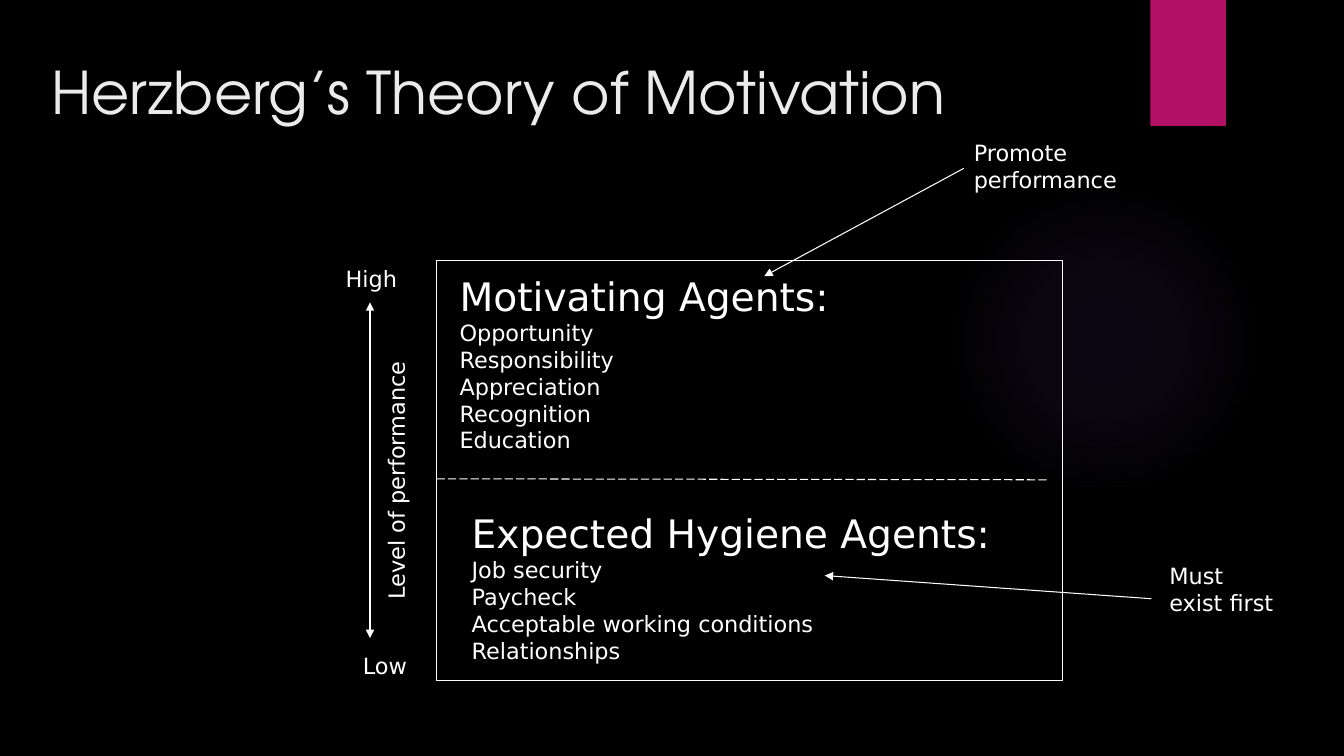
"""Build a slide on Herzberg's two groups of motivating factors."""
from pptx import Presentation, util as u
from pptx.dml.color import RGBColor
from pptx.enum import dml, shapes, text
from pptx.oxml import parse_xml
from pptx.oxml.ns import nsdecls, qn

BLACK = RGBColor(0x00, 0x00, 0x00)
WHITE = RGBColor(0xFF, 0xFF, 0xFF)
PALE = RGBColor(0xEB, 0xEB, 0xEB)
PINK = RGBColor(0xB3, 0x11, 0x66)
GLOW = RGBColor(0x9B, 0x6B, 0xF2)
BODY = {"name": "DejaVu Sans"}
HEAD, ITEM = u.Pt(28), u.Pt(16)

deck = Presentation()
deck.slide_width, deck.slide_height = u.Inches(13.33), u.Inches(7.5)
slide = deck.slides.add_slide(deck.slide_layouts[5])
slide.background.fill.solid()
slide.background.fill.fore_color.rgb = BLACK


def place(kind, *box):
    """Add a bare shape without fill, line or shadow."""
    shape = slide.shapes.add_shape(kind, *map(u.Inches, box))
    shape.shadow.inherit = False
    shape.fill.background()
    shape.line.fill.background()
    return shape


def write(frame, lines, sizes, color, font):
    """Put one paragraph per line into a text frame."""
    for i, line in enumerate(lines):
        para = frame.paragraphs[0] if i == 0 else frame.add_paragraph()
        para.text = line
        para.alignment = text.PP_ALIGN.LEFT
        for part in para.runs:
            for key, value in {"size": sizes[min(i, len(sizes) - 1)], **font}.items():
                setattr(part.font, key, value)
            part.font.color.rgb = color


title = slide.shapes.title
for key, value in zip(("left", "top", "width", "height"), (0.41, 0.5, 10.29, 1.53)):
    setattr(title, key, u.Inches(value))
title.text_frame.vertical_anchor = text.MSO_ANCHOR.TOP
title.text_frame.auto_size = text.MSO_AUTO_SIZE.NONE
write(title.text_frame, ["Herzberg’s Theory of Motivation"], [u.Pt(42)], PALE,
      {"name": "TeX Gyre Adventor"})

orb = place(shapes.MSO_SHAPE.OVAL, 9.41, 1.83, 3.08, 3.08)
stops = "".join(
    f'<a:gs pos="{pos}000"><a:srgbClr val="{GLOW}"><a:alpha val="{alpha}000"/></a:srgbClr></a:gs>'
    for pos, alpha in ((0, 7), (36, 6), (69, 0)))
props = orb._element.spPr
props.replace(props.find(qn("a:noFill")), parse_xml(
    f'<a:gradFill {nsdecls("a")}><a:gsLst>{stops}</a:gsLst><a:path path="circle">'
    '<a:fillToRect l="50000" t="50000" r="50000" b="50000"/></a:path></a:gradFill>'))

tab = place(shapes.MSO_SHAPE.RECTANGLE, 11.41, 0, 0.75, 1.25)
tab.fill.solid()
tab.fill.fore_color.rgb = PINK

frame = place(shapes.MSO_SHAPE.RECTANGLE, 4.33, 2.58, 6.21, 4.17)
frame.line.color.rgb = WHITE
frame.line.width = u.Pt(0.75)

NOTES = [
    ((4.58, 5, 5.4, 1.65), 0, [HEAD, ITEM],
     ["Expected Hygiene Agents:", "Job security", "Paycheck",
      "Acceptable working conditions", "Relationships"]),
    ((4.46, 2.65, 3.92, 1.92), 0, [HEAD, ITEM],
     ["Motivating Agents:", "Opportunity", "Responsibility",
      "Appreciation", "Recognition", "Education"]),
    ((11.5, 5.53, 1.26, 0.64), 0, [ITEM], ["Must\vexist first"]),
    ((9.56, 1.33, 1.63, 0.64), 0, [ITEM], ["Promote", "performance"]),
    ((2.64, 4.57, 2.58, 0.37), 270, [ITEM], ["Level of performance"]),
    ((3.33, 2.58, 0.71, 0.37), 0, [ITEM], ["High"]),
    ((3.5, 6.42, 0.65, 0.37), 0, [ITEM], ["Low"]),
]
for box, turn, sizes, lines in NOTES:
    note = slide.shapes.add_textbox(*map(u.Inches, box))
    note.rotation = turn
    note.text_frame.word_wrap = False
    note.text_frame.auto_size = text.MSO_AUTO_SIZE.SHAPE_TO_FIT_TEXT
    write(note.text_frame, lines, sizes, WHITE, BODY)

LINES = [
    ((4.33, 4.75, 10.38, 4.76), dml.MSO_LINE.LONG_DASH, ()),
    ((11.42, 5.94, 8.18, 5.71), None, ("tailEnd",)),
    ((9.56, 1.67, 7.58, 2.74), None, ("tailEnd",)),
    ((3.67, 3, 3.67, 6.33), None, ("headEnd", "tailEnd")),
]
for ends, dash, tips in LINES:
    link = slide.shapes.add_connector(shapes.MSO_CONNECTOR.STRAIGHT, *map(u.Inches, ends))
    link.line.color.rgb = WHITE
    link.line.width = u.Pt(0.75)
    link.line.dash_style = dash
    for tip in tips:
        link.line._get_or_add_ln().append(
            parse_xml(f'<a:{tip} {nsdecls("a")} type="triangle"/>'))
    link._element.spPr.append(parse_xml(f'<a:effectLst {nsdecls("a")}/>'))

deck.save("out.pptx")
